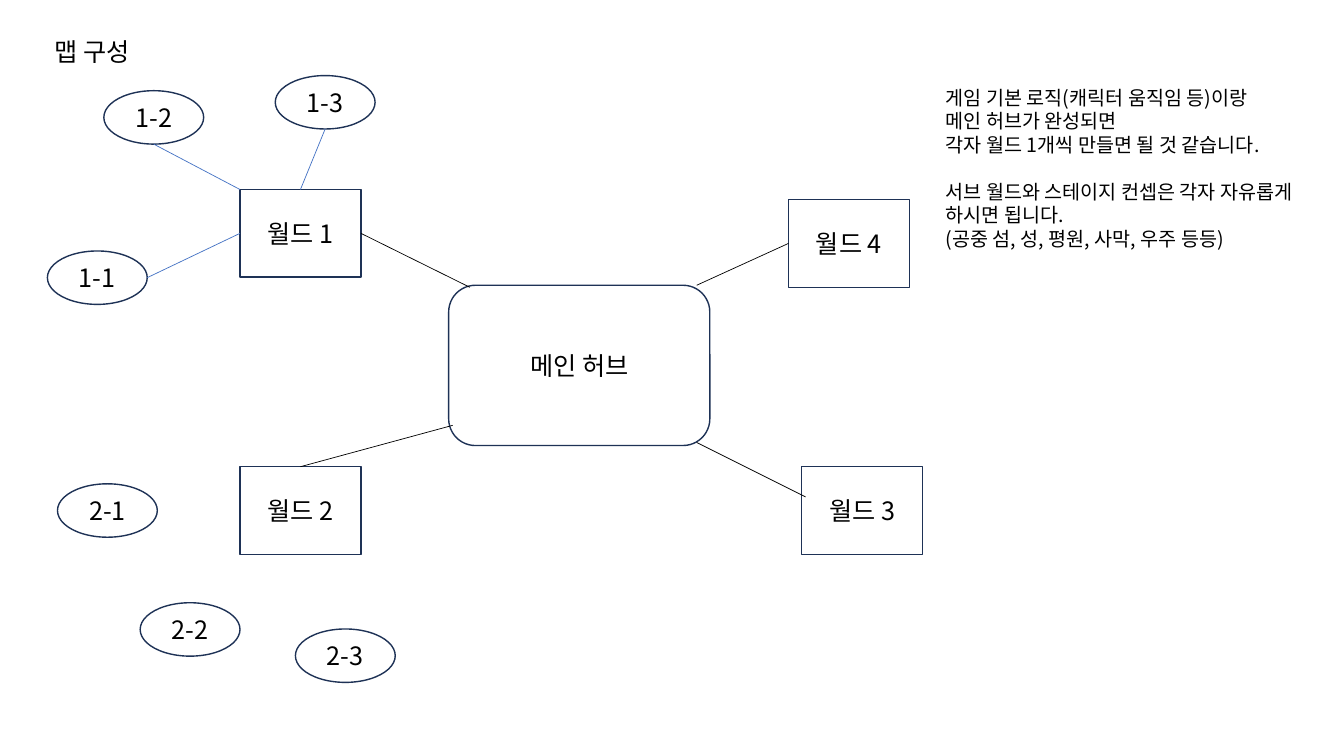
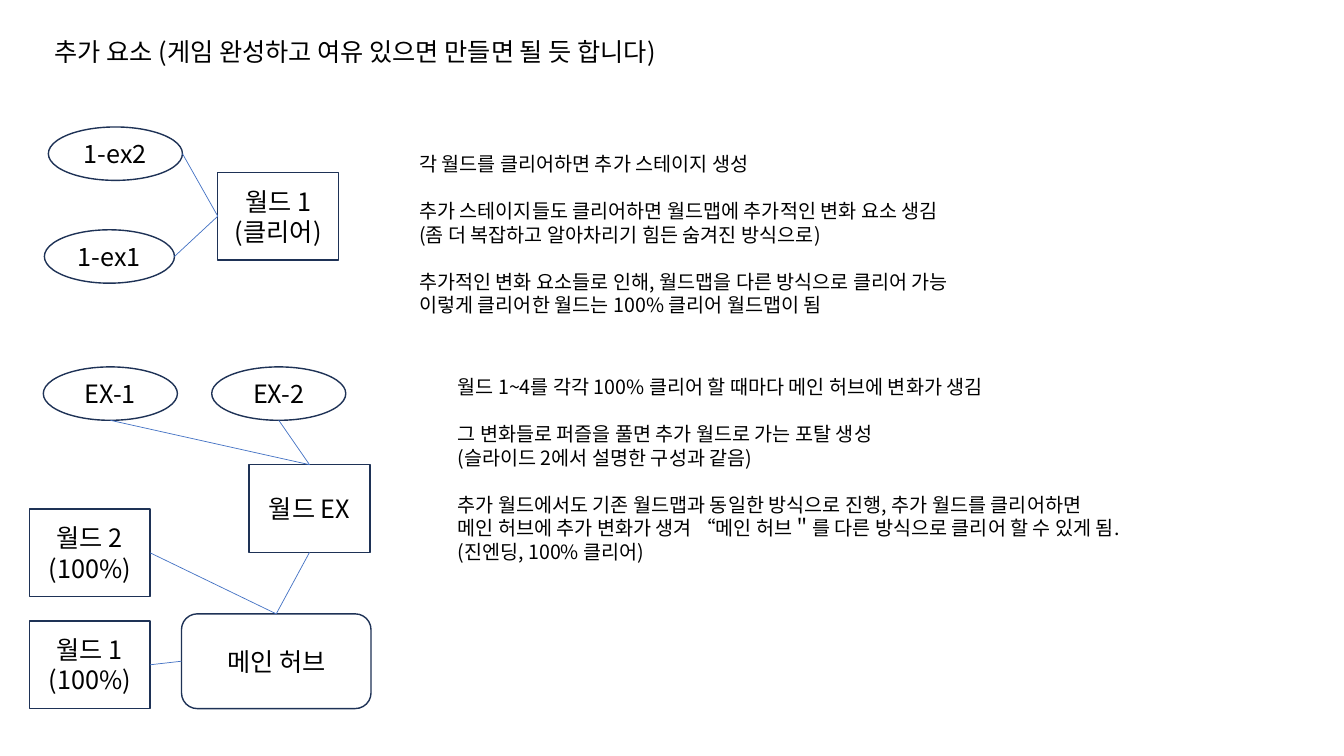
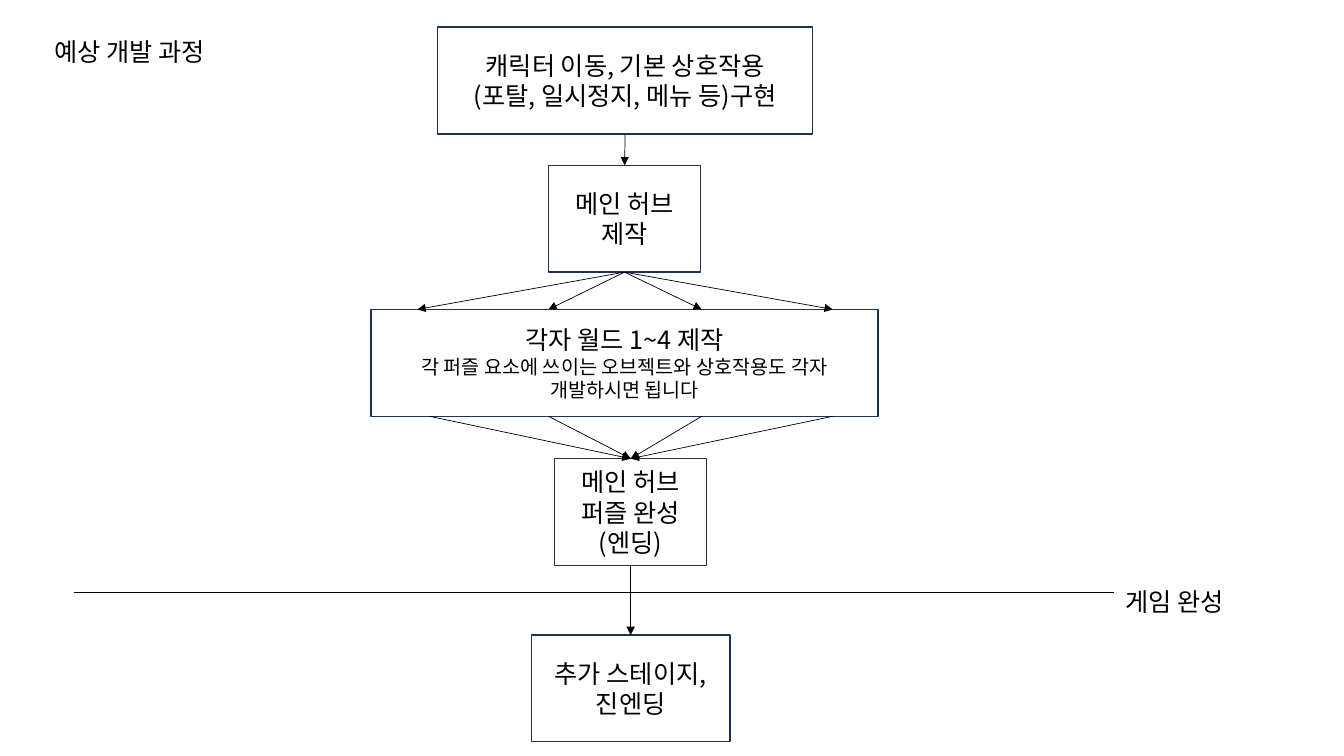
from lxml import etree
from pptx import Presentation
from pptx.dml.color import RGBColor
from pptx.enum import shapes, text
from pptx.oxml import ns
from pptx.util import Inches, Pt

# Shared style
FONT = "Noto Sans CJK KR"
BLACK = RGBColor(0x00, 0x00, 0x00)
WHITE = RGBColor(0xFF, 0xFF, 0xFF)
NAVY = RGBColor(0x1E, 0x32, 0x56)
BLUE = RGBColor(0x44, 0x72, 0xC4)
BIG, SMALL = 18, 14
LEAD = 1.2
WORLD = (1.2, 0.87)
STAGE = (0.99, 0.53)
EXTRA = (1.33, 0.53)
STEP = 1.06
TOP, LEFT, BOTTOM, RIGHT = range(4)
KIND = shapes.MSO_SHAPE


def style(para, size, align):
    para.alignment = align
    para.line_spacing = Pt(size * LEAD)
    para.space_before = Pt(0)
    for run in para.runs:
        run.font.size = Pt(size)
        run.font.name = FONT
        run.font.color.rgb = BLACK
        east = etree.SubElement(run.font._element, ns.qn("a:ea"))
        east.set("typeface", FONT)


def write(frame, words, size=BIG, align=text.PP_ALIGN.LEFT,
          anchor=text.MSO_ANCHOR.TOP):
    frame.word_wrap = True
    frame.auto_size = text.MSO_AUTO_SIZE.NONE
    frame.vertical_anchor = anchor
    frame.text = words
    for para in frame.paragraphs:
        style(para, size, align)


def start(deck, title, width=9.24):
    """Add a slide with its title."""
    slide = deck.slides.add_slide(deck.slide_layouts[5])
    head = slide.shapes.title
    head.left, head.top = Inches(0.44), Inches(0.31)
    head.width, head.height = Inches(width), Inches(0.4)
    write(head.text_frame, title)
    return slide


def note(slide, x, y, w, h, blocks, size=SMALL):
    """Add a text box; each block of lines is set apart by one line."""
    box = slide.shapes.add_textbox(Inches(x), Inches(y), Inches(w), Inches(h))
    frame = box.text_frame
    write(frame, "\n".join(blocks), size)
    count = 0
    for block in blocks[:-1]:
        count += len(block.split("\n"))
        frame.paragraphs[count - 1].space_after = Pt(size * LEAD)


def node(slide, words, x, y, size=WORLD, kind=KIND.RECTANGLE):
    """Add an outlined shape with centred text."""
    w, h = size
    shape = slide.shapes.add_shape(
        kind, Inches(x), Inches(y), Inches(w), Inches(h))
    shape.shadow.inherit = False
    shape.fill.solid()
    shape.fill.fore_color.rgb = WHITE
    shape.line.color.rgb = NAVY
    shape.line.width = Pt(1)
    write(shape.text_frame, words, BIG, text.PP_ALIGN.CENTER,
          text.MSO_ANCHOR.MIDDLE)
    return shape


def stage(slide, words, x, y, size=STAGE):
    return node(slide, words, x, y, size, KIND.OVAL)


def hub(slide, x, y, size):
    return node(slide, "메인 허브", x, y, size, KIND.ROUNDED_RECTANGLE)


def spot(end):
    """Turn an (x, y) or (shape, side) end into a point."""
    item, side = end
    if isinstance(item, (int, float)):
        return Inches(item), Inches(side)
    x = item.left + item.width * (0, 0, 1, 2)[side] // 2
    y = item.top + item.height // 2
    if side in (TOP, BOTTOM):
        x = item.left + item.width // 2
        y = item.top + (item.height if side == BOTTOM else 0)
    return x, y


def link(slide, tail, head, color=BLACK, arrow=False):
    """Draw a line, joined to every rectangle that it meets at a side."""
    line = slide.shapes.add_connector(
        shapes.MSO_CONNECTOR.STRAIGHT, *spot(tail), *spot(head))
    joins = ((tail, line.begin_connect), (head, line.end_connect))
    for (item, side), join in joins:
        if not isinstance(item, (int, float)) \
                and item.auto_shape_type != KIND.OVAL:
            join(item, side)
    line.line.color.rgb = color
    line.line.width = Pt(0.5)
    if arrow:
        tip = etree.SubElement(line.line._get_or_add_ln(), ns.qn("a:tailEnd"))
        tip.set("type", "triangle")
    etree.SubElement(line._element.spPr, ns.qn("a:effectLst"))


def draw_map(deck):
    slide = start(deck, "맵 구성", 1.45)
    # Hub and worlds
    hub(slide, 4.45, 2.83, (2.59, 1.59))
    one, two, four, three = [
        node(slide, f"월드 {n}", x, y) for n, x, y in (
            (1, 2.38, 1.88), (2, 2.38, 4.63), (4, 7.82, 1.98), (3, 7.95, 4.63))]
    link(slide, (one, RIGHT), (4.66, 2.85))
    link(slide, (two, TOP), (4.49, 4.22))
    link(slide, (6.91, 4.39), (7.99, 4.93))
    link(slide, (6.91, 2.83), (four, LEFT))
    # Stages
    first, second, third = [
        stage(slide, name, x, y) for name, x, y in (
            ("1-1", 0.47, 2.49), ("1-2", 1.03, 0.9), ("1-3", 2.73, 0.75),
            ("2-1", 0.57, 4.8), ("2-2", 1.39, 5.98), ("2-3", 2.93, 6.24))][:3]
    link(slide, (first, RIGHT), (one, LEFT), BLUE)
    link(slide, (second, BOTTOM), (2.38, 1.88), BLUE)
    link(slide, (third, BOTTOM), (one, TOP), BLUE)
    note(slide, 9.28, 0.8, 3.68, 1.75, (
        "게임 기본 로직(캐릭터 움직임 등)이랑\n메인 허브가 완성되면\n"
        "각자 월드 1개씩 만들면 될 것 같습니다.",
        "서브 월드와 스테이지 컨셉은 각자 자유롭게 하시면 됩니다.\n"
        "(공중 섬, 성, 평원, 사막, 우주 등등)"))


def draw_extra(deck):
    slide = start(deck, "추가 요소 (게임 완성하고 여유 있으면 만들면 될 듯 합니다)")
    # Extra stages of a cleared world
    clear = node(slide, "월드 1\n(클리어)", 2.16, 1.71)
    for name, x, y, size in (("1-ex1", 0.44, 2.28, (1.29, 0.53)),
                             ("1-ex2", 0.48, 1.26, EXTRA)):
        link(slide, (stage(slide, name, x, y, size), RIGHT),
             (clear, LEFT), BLUE)
    note(slide, 4.06, 1.46, 7.13, 1.75, (
        "각 월드를 클리어하면 추가 스테이지 생성",
        "추가 스테이지들도 클리어하면 월드맵에 추가적인 변화 요소 생김\n"
        "(좀 더 복잡하고 알아차리기 힘든 숨겨진 방식으로)",
        "추가적인 변화 요소들로 인해, 월드맵을 다른 방식으로 클리어 가능\n"
        "이렇게 클리어한 월드는 100% 클리어 월드맵이 됨"))
    # Extra world behind the hub
    main_hub = hub(slide, 1.8, 6.09, (1.88, 0.94))
    for n, y, side in ((1, 6.16, LEFT), (2, 5.05, TOP)):
        done = node(slide, f"월드 {n}\n(100%)", 0.29, y)
        link(slide, (done, RIGHT), (main_hub, side), BLUE)
    bonus = node(slide, "월드 EX", 2.47, 4.61)
    link(slide, (main_hub, TOP), (bonus, BOTTOM), BLUE)
    for name, x in (("EX-1", 0.43), ("EX-2", 2.1)):
        link(slide, (bonus, TOP),
             (stage(slide, name, x, 3.64, EXTRA), BOTTOM), BLUE)
    note(slide, 4.44, 3.67, 7.13, 1.99, (
        "월드 1~4를 각각 100% 클리어 할 때마다 메인 허브에 변화가 생김",
        "그 변화들로 퍼즐을 풀면 추가 월드로 가는 포탈 생성\n"
        "(슬라이드 2에서 설명한 구성과 같음)",
        "추가 월드에서도 기존 월드맵과 동일한 방식으로 진행, 추가 월드를 클리어하면\n"
        "메인 허브에 추가 변화가 생겨 “메인 허브＂를 다른 방식으로 클리어 할 수 있게 됨. "
        "(진엔딩, 100% 클리어)"))


def draw_plan(deck):
    slide = start(deck, "예상 개발 과정")
    # Steps from top to bottom
    base, build, worlds, ending, bonus = [
        node(slide, words, x, y, (w, STEP)) for words, x, y, w in (
            ("캐릭터 이동, 기본 상호작용\n(포탈, 일시정지, 메뉴 등)구현", 4.34, 0.27, 3.72),
            ("메인 허브 제작", 5.44, 1.64, 1.51),
            ("각자 월드 1~4 제작\n각 퍼즐 요소에 쓰이는 오브젝트와 상호작용도 각자 개발하시면 됩니다",
             3.68, 3.07, 5.03),
            ("메인 허브 퍼즐 완성(엔딩)", 5.5, 4.55, 1.51),
            ("추가 스테이지, 진엔딩", 5.27, 6.3, 1.97))]
    detail = worlds.text_frame.paragraphs[1]
    detail.line_spacing = Pt(SMALL * LEAD)
    detail.runs[0].font.size = Pt(SMALL)
    # Arrows fan out to the worlds and back in
    link(slide, (base, BOTTOM), (build, TOP), arrow=True)
    for x in (4.14, 5.44, 6.96, 8.26):
        link(slide, (build, BOTTOM), (x, 3.07), arrow=True)
    for x in (4.26, 5.44, 6.96, 8.26):
        link(slide, (x, 4.13), (ending, TOP), arrow=True)
    link(slide, (ending, BOTTOM), (bonus, TOP), arrow=True)
    # Finish line
    link(slide, (0.73, 5.88), (11.05, 5.88))
    note(slide, 11.06, 5.77, 1.64, 0.4, ("게임 완성",), BIG)


def main():
    deck = Presentation()
    deck.slide_width, deck.slide_height = Inches(13.33), Inches(7.5)
    draw_map(deck)
    draw_extra(deck)
    draw_plan(deck)
    deck.save("out.pptx")


if __name__ == "__main__":
    main()
